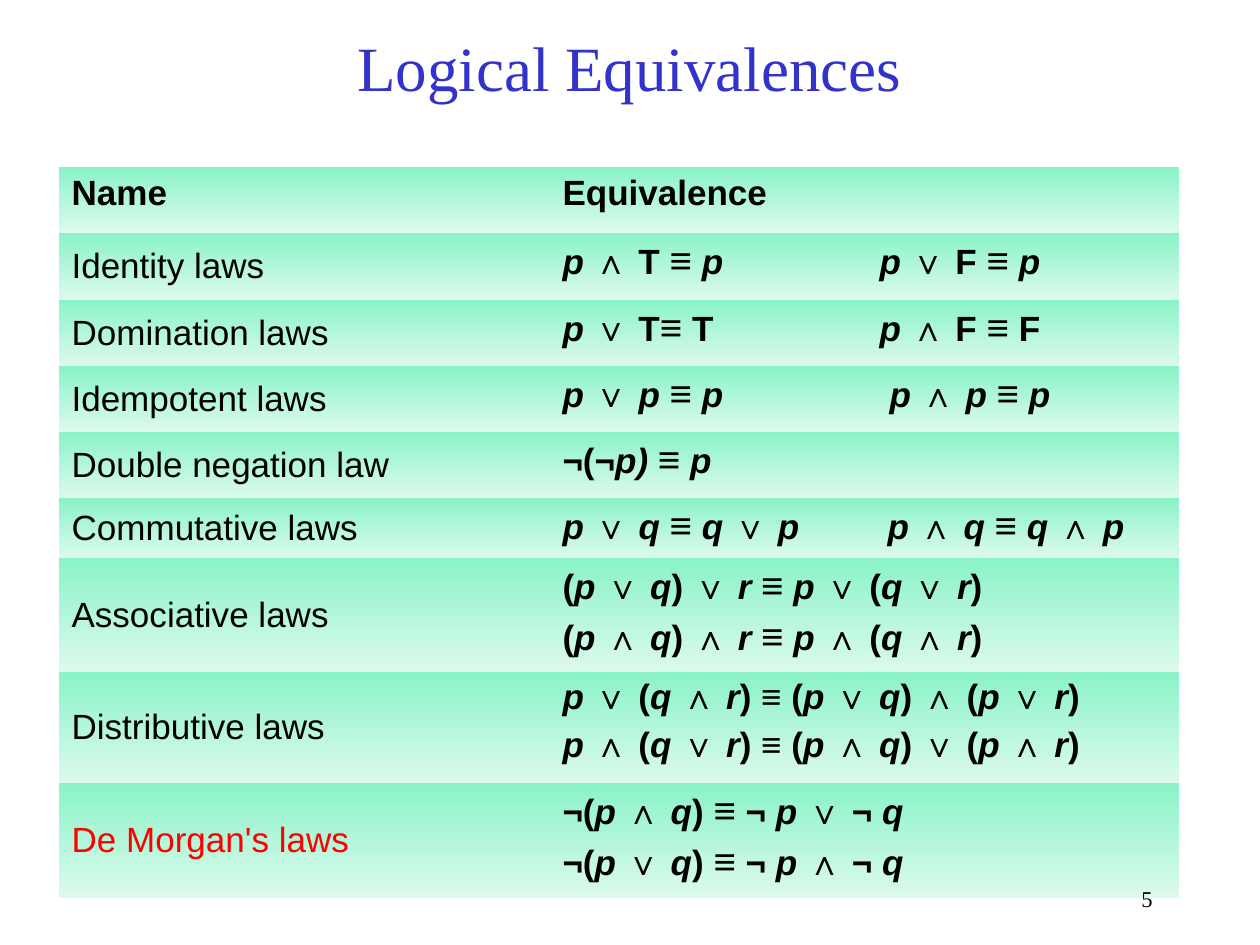
from dataclasses import dataclass
from itertools import groupby

from pptx import Presentation, util as u
from pptx.dml.color import RGBColor
from pptx.enum import text
from pptx.oxml import parse_xml
from pptx.oxml.ns import nsdecls, qn

PX = 914400 / 126  # EMU per px

BLACK = RGBColor(0x00, 0x00, 0x00)
BLUE = RGBColor(0x33, 0x33, 0xCC)
RED = RGBColor(0xFF, 0x00, 0x00)
GREEN = RGBColor(0x8A, 0xF3, 0xC7)
PALE_GREEN = RGBColor(0xDD, 0xFA, 0xED)

SERIF = "Times New Roman"
SANS = "Arial"
NO_TABLE_STYLE = "{2D5ABB26-0587-4C30-8999-92F81FD0307C}"

TABLE_LEFT, TABLE_TOP = 59, 167
COLUMN_WIDTHS = (491, 629)


@dataclass
class Law:
    name: str
    equivalences: tuple[str, ...]
    height: int
    color: RGBColor = BLACK
    tab: int = 0  # start of the second equivalence on a line
    italics: str = "pqr"
    sign_size: int = 22  # size of ≡


LAWS = (
    Law("Identity laws", ("p ∧ T ≡ p\tp ∨ F ≡ p",), 67, tab=317),
    Law("Domination laws", ("p ∨ T≡ T\tp ∧ F ≡ F",), 66, tab=317),
    Law("Idempotent laws", ("p ∨ p ≡ p\tp ∧ p ≡ p",), 66, tab=327),
    Law("Double negation law", ("¬(¬p) ≡ p",), 66, italics="p)"),
    Law("Commutative laws", ("p ∨ q ≡ q ∨ p\tp ∧ q ≡ q ∧ p",), 60, tab=325),
    Law("Associative laws",
        ("(p ∨ q) ∨ r ≡ p ∨ (q ∨ r)", "(p ∧ q) ∧ r ≡ p ∧ (q ∧ r)"), 114),
    Law("Distributive laws",
        ("p ∨ (q ∧ r) ≡ (p ∨ q) ∧ (p ∨ r)",
         "p ∧ (q ∨ r) ≡ (p ∧ q) ∨ (p ∧ r)"), 111, sign_size=20),
    Law("De Morgan's laws",
        ("¬(p ∧ q) ≡ ¬ p ∨ ¬ q", "¬(p ∨ q) ≡ ¬ p ∧ ¬ q"), 115, color=RED),
)
HEADER_HEIGHT = 66


def px(length: int) -> int:
    return round(length * PX)


def set_font(paragraph, name: str, size: float, color: RGBColor,
             bold: bool = False) -> None:
    font = paragraph.font
    font.name, font.size, font.bold = name, u.Pt(size), bold
    font.color.rgb = color


def add_label(slide, label: str, box: tuple[int, int, int, int], size: float,
              color: RGBColor, alignment, anchor):
    shape = slide.shapes.add_textbox(*map(px, box))
    frame = shape.text_frame
    frame.word_wrap = True
    frame.vertical_anchor = anchor
    paragraph = frame.paragraphs[0]
    paragraph.text = label
    paragraph.alignment = alignment
    set_font(paragraph, SERIF, size, color)
    return paragraph


def write_cell(cell, label: str, color: RGBColor = BLACK,
               bold: bool = False) -> None:
    paragraph = cell.text_frame.paragraphs[0]
    paragraph.text = label
    set_font(paragraph, SANS, 20, color, bold)


def add_tab_stop(paragraph, position: int) -> None:
    paragraph._p.get_or_add_pPr().append(parse_xml(
        f'<a:tabLst {nsdecls("a")}><a:tab pos="{px(position)}" algn="l"/></a:tabLst>'))


def write_equivalences(cell, law: Law) -> None:
    frame = cell.text_frame
    for index, formula in enumerate(law.equivalences):
        paragraph = frame.add_paragraph() if index else frame.paragraphs[0]
        if index:
            paragraph.space_before = u.Pt(5)
        if law.tab:
            add_tab_stop(paragraph, law.tab)
        set_font(paragraph, SANS, 20, BLACK, bold=True)
        # Variables are italic and the equivalence sign is larger
        for (italic, sign), symbols in groupby(
                formula, key=lambda symbol: (symbol in law.italics, symbol == "≡")):
            run = paragraph.add_run()
            run.text = "".join(symbols)
            if italic:
                run.font.italic = True
            if sign:
                run.font.size = u.Pt(law.sign_size)


def fill_cell(cell) -> None:
    cell.fill.gradient()
    cell.fill.gradient_angle = 270
    for stop, color, position in zip(cell.fill.gradient_stops,
                                     (GREEN, PALE_GREEN), (0, 1)):
        stop.color.rgb = color
        stop.position = position


def add_law_table(slide) -> None:
    heights = [HEADER_HEIGHT, *(law.height for law in LAWS)]
    table = slide.shapes.add_table(
        len(heights), len(COLUMN_WIDTHS), px(TABLE_LEFT), px(TABLE_TOP),
        px(sum(COLUMN_WIDTHS)), px(sum(heights))).table
    table.first_row = table.horz_banding = False
    table._tbl.tblPr.find(qn("a:tableStyleId")).text = NO_TABLE_STYLE
    for column, width in zip(table.columns, COLUMN_WIDTHS):
        column.width = px(width)
    for row, height in zip(table.rows, heights):
        row.height = px(height)
    for cell in table.iter_cells():
        fill_cell(cell)

    # Header
    for column, heading in enumerate(("Name", "Equivalence")):
        write_cell(table.cell(0, column), heading, bold=True)

    # Laws
    for row, law in enumerate(LAWS, start=1):
        name_cell = table.cell(row, 0)
        name_cell.vertical_anchor = text.MSO_ANCHOR.MIDDLE
        write_cell(name_cell, law.name, law.color)
        write_equivalences(table.cell(row, 1), law)


def main() -> None:
    presentation = Presentation()
    presentation.slide_width, presentation.slide_height = u.Inches(10), u.Inches(7.5)
    slide = presentation.slides.add_slide(presentation.slide_layouts[6])

    # Title
    add_label(slide, "Logical Equivalences", (94, 16, 1071, 100), 36, BLUE,
              text.PP_ALIGN.CENTER, text.MSO_ANCHOR.MIDDLE)

    add_law_table(slide)

    # Slide number
    number = add_label(slide, "5", (966, 882, 199, 42), 12.9, BLACK,
                       text.PP_ALIGN.RIGHT, text.MSO_ANCHOR.TOP)
    number.line_spacing = 0.9

    presentation.save("out.pptx")


if __name__ == "__main__":
    main()
